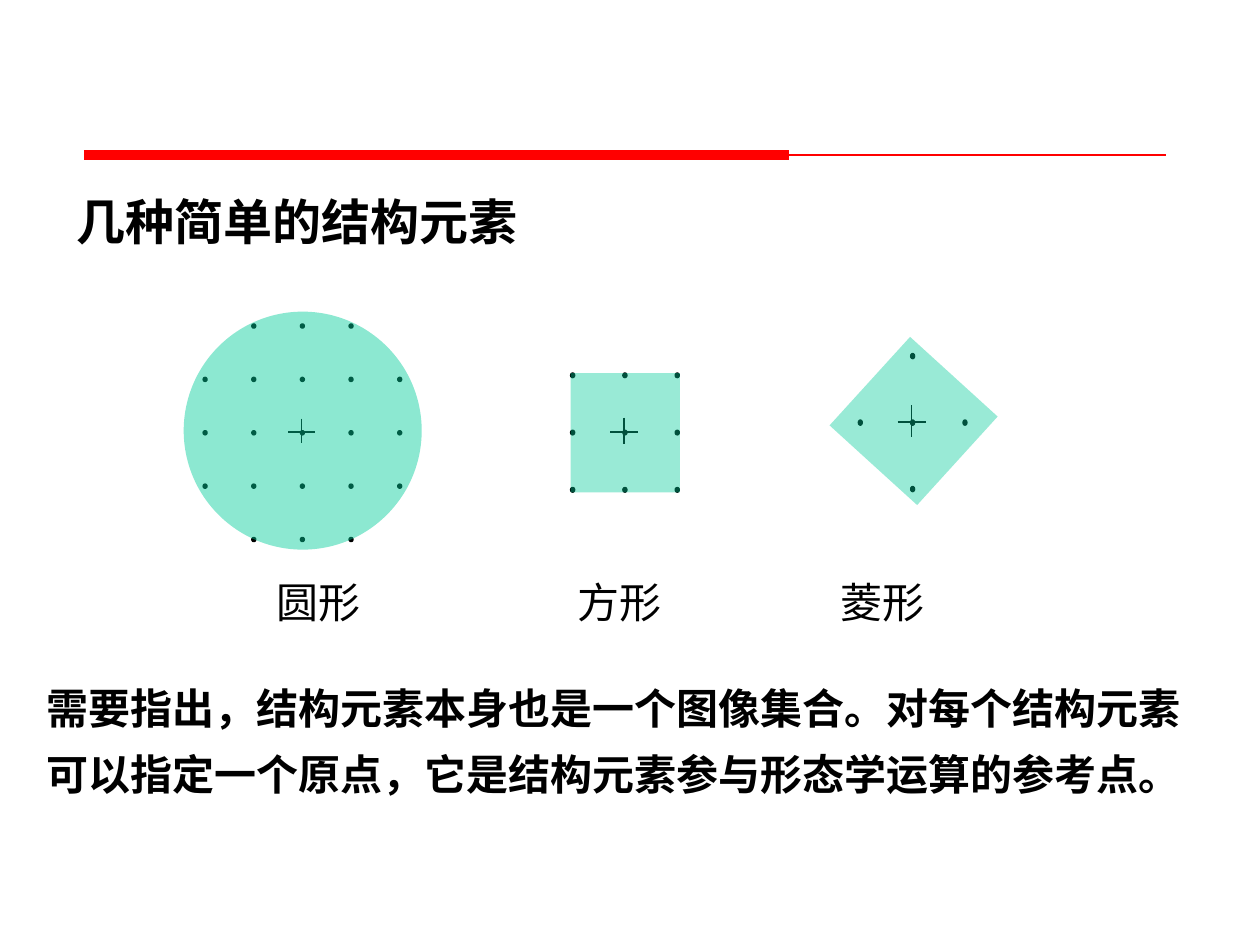
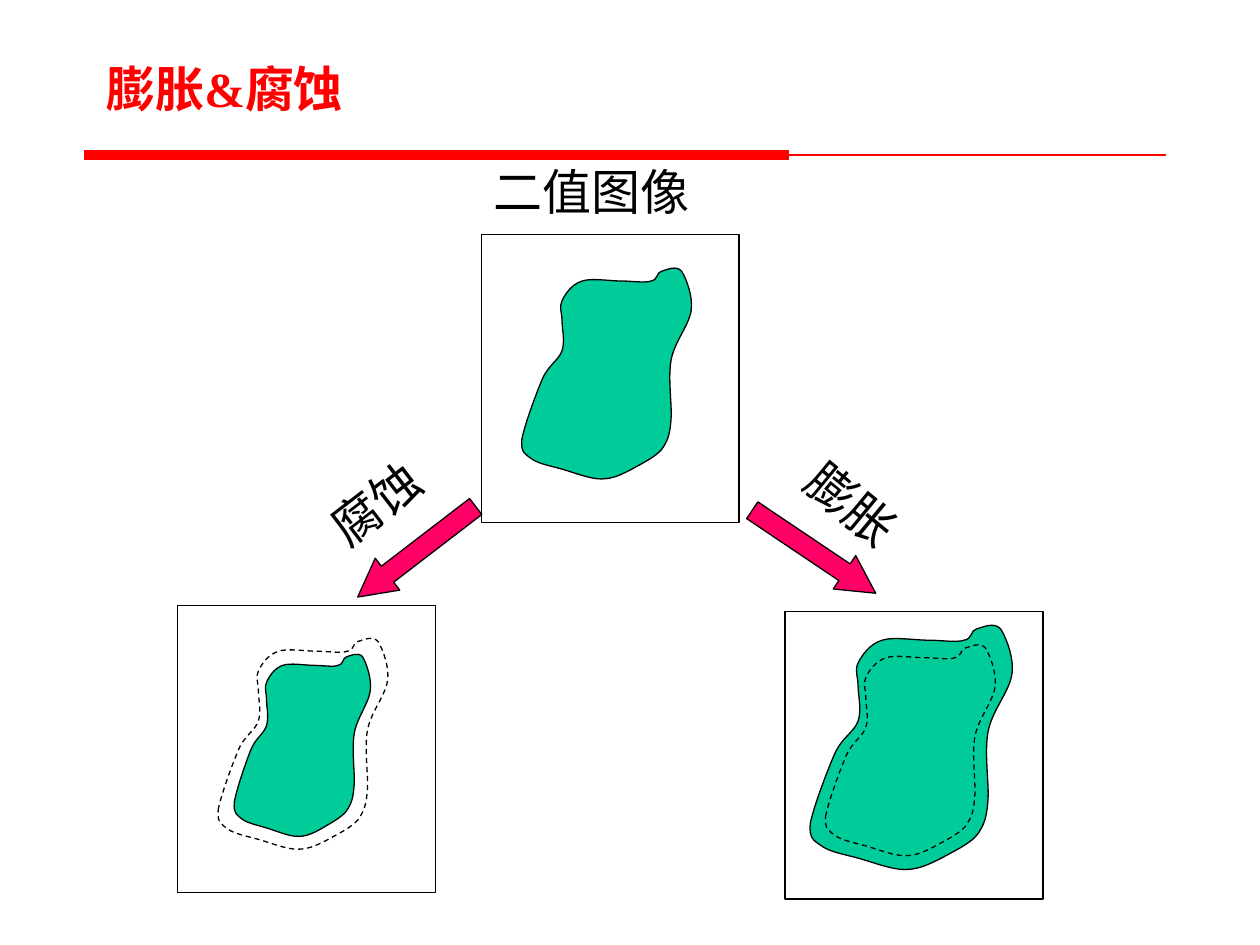
from lxml import etree
from pptx import Presentation
from pptx.dml.color import RGBColor
from pptx.enum.dml import MSO_LINE
from pptx.enum.shapes import MSO_CONNECTOR, MSO_SHAPE
from pptx.enum.text import MSO_ANCHOR, PP_ALIGN
from pptx.oxml.ns import qn
from pptx.util import Pt

STRAIGHT = MSO_CONNECTOR.STRAIGHT
DASH = MSO_LINE.DASH
DOT, ELLIPSE = MSO_SHAPE.FLOWCHART_CONNECTOR, MSO_SHAPE.OVAL
RECTANGLE, ARROW = MSO_SHAPE.RECTANGLE, MSO_SHAPE.RIGHT_ARROW
TOP, LEFT = MSO_ANCHOR.TOP, PP_ALIGN.LEFT

FONT = "Times New Roman"
BLACK, RED, GREEN, PINK = "000000", "FF0000", "00CC99", "FF0066"
TITLE_ONLY = 5
FRAME_SIZE = (147.4, 164.2)
REGION_BOX = (22.6, 17.1, 98.6, 122.4)
ERODED_BOX = (31.9, 26.4, 79.2, 105.8)
DILATED_BOX = (13.7, 5.6, 117.4, 141.8)

OUTLINE_SIZE = (163, 197)
OUTLINE_START = (1, 161)
OUTLINE_CURVES = [
    ((3, 149), (14, 120), (20, 106)), ((26, 92), (36, 88), (39, 79)),
    ((42, 70), (39, 59), (39, 52)), ((39, 44), (36, 39), (39, 33)),
    ((42, 27), (48, 18), (58, 15)), ((67, 12), (84, 15), (95, 15)),
    ((106, 15), (117, 17), (123, 15)), ((130, 14), (128, 7), (133, 6)),
    ((137, 5), (147, 0), (152, 6)), ((156, 12), (163, 29), (161, 42)),
    ((159, 56), (145, 71), (142, 88)), ((139, 105), (143, 129), (142, 142)),
    ((141, 156), (139, 162), (133, 170)), ((127, 177), (114, 183), (105, 188)),
    ((95, 193), (87, 197), (76, 197)), ((65, 197), (50, 191), (39, 188)),
    ((28, 185), (17, 183), (11, 179)), ((4, 174), (0, 173), (1, 161)),
]


def color(hex_text):
    """Turn a hex string into a colour."""
    return RGBColor.from_string(hex_text)


def style_shape(shape, fill=None, line=None, opacity=None):
    """Set fill, outline and opacity, and switch the shadow off."""
    shape.shadow.inherit = False
    if fill:
        shape.fill.solid()
        shape.fill.fore_color.rgb = color(fill)
    else:
        shape.fill.background()
    if opacity:
        tint = shape.fill._xPr.find(".//" + qn("a:srgbClr"))
        etree.SubElement(tint, qn("a:alpha")).set("val", str(opacity * 1000))
    if line:
        shape.line.color.rgb = color(line)
        shape.line.width = Pt(0.75)
    else:
        shape.line.fill.background()


def add_shape(holder, kind, box, **style):
    """Add a styled preset shape to a slide or group."""
    shape = holder.shapes.add_shape(kind, *map(Pt, box))
    style_shape(shape, **style)
    return shape


def add_line(holder, start, end, line, width=0.75):
    """Add a straight line without shadow."""
    connector = holder.shapes.add_connector(STRAIGHT, *map(Pt, start + end))
    connector.line.color.rgb = color(line)
    connector.line.width = Pt(width)
    etree.SubElement(connector._element.spPr, qn("a:effectLst"))
    return connector


def write_text(holder, text, size, bold=False, ink=BLACK, spacing=1.0, tabs=()):
    """Write one formatted paragraph into a text holder."""
    frame = holder.text_frame
    frame.word_wrap = True
    frame.vertical_anchor = TOP
    frame.text = text
    para = frame.paragraphs[0]
    para.alignment = LEFT
    para.line_spacing = spacing
    para.space_before = Pt(0)
    if tabs:
        stops = etree.SubElement(para._p.get_or_add_pPr(), qn("a:tabLst"))
        for position in tabs:
            etree.SubElement(stops, qn("a:tab"), pos=str(Pt(position)), algn="l")
    for span in para.runs:
        span.font.name = FONT
        span.font.size = Pt(size)
        span.font.bold = bold
        span.font.color.rgb = color(ink)


def add_text(slide, box, text, size, rotation=0, **style):
    """Add a text box, turned if asked."""
    holder = slide.shapes.add_textbox(*map(Pt, box))
    holder.rotation = rotation
    write_text(holder, text, size, **style)
    return holder


def add_page(deck, title, title_box, **style):
    """Add a slide with a placed title."""
    page = deck.slides.add_slide(deck.slide_layouts[TITLE_ONLY])
    holder = page.shapes.title
    holder.left, holder.top, holder.width, holder.height = map(Pt, title_box)
    write_text(holder, title, 28, bold=True, **style)
    return page


def add_master_rule(deck, page):
    """Draw the red double rule and move it to the slide master."""
    tree = deck.slide_master.shapes._spTree
    for number, (right, width) in enumerate(((666, 0.75), (451, 6)), 20):
        rule = add_line(page, (48, 88.6), (right, 88.6), RED, width)
        rule._element.nvCxnSpPr.cNvPr.set("id", str(number))
        tree.append(rule._element)


def add_element(slide, center, pitch, cells, dot, cross):
    """Group the grid points of a structuring element and its origin cross."""
    group = slide.shapes.add_group_shape()
    x, y = center
    for column, row in cells:
        left = x + column * pitch[0] - dot[0] / 2
        top = y + row * pitch[1] - dot[1] / 2
        add_shape(group, DOT, (left, top, *dot), fill=BLACK, line=BLACK)
    half_width, half_height = cross[0] / 2, cross[1] / 2
    add_line(group, (x - 0.5 - half_width, y - 0.4), (x - 0.5 + half_width, y - 0.4), BLACK)
    add_line(group, (x - 0.5, y - 1 - half_height), (x - 0.5, y - 1 + half_height), BLACK)


def set_points(segment, points):
    """Fill a path segment with points in outline units."""
    for x, y in points:
        etree.SubElement(segment, qn("a:pt"), x=str(x * 100), y=str(y * 100))


def add_region(slide, box, filled):
    """Draw the curved region outline in a box, filled or dashed."""
    builder = slide.shapes.build_freeform(*OUTLINE_START, scale=Pt(1))
    builder.add_line_segments([curve[-1] for curve in OUTLINE_CURVES], close=True)
    region = builder.convert_to_shape()
    region.left, region.top, region.width, region.height = map(Pt, box)
    outline = region._element.spPr.find(".//" + qn("a:path"))
    for name, size in zip("wh", OUTLINE_SIZE):
        outline.set(name, str(size * 100))
    start = outline.find(qn("a:moveTo"))
    start.remove(start[0])
    set_points(start, [OUTLINE_START])
    for segment, curve in zip(outline.findall(qn("a:lnTo")), OUTLINE_CURVES):
        bend = etree.Element(qn("a:cubicBezTo"))
        set_points(bend, curve)
        outline.replace(segment, bend)
    style_shape(region, fill=GREEN if filled else None, line=BLACK)
    if not filled:
        region.line.dash_style = DASH


def add_panel(slide, left, top, regions):
    """Draw a framed image holding regions placed relative to the frame."""
    for (x, y, width, height), filled in regions:
        add_region(slide, (left + x, top + y, width, height), filled)
    add_shape(slide, RECTANGLE, (left, top, *FRAME_SIZE), line=BLACK)


def add_operation(slide, arrow_box, arrow_turn, label, label_box, label_turn):
    """Draw a turned arrow and its turned label."""
    arrow = add_shape(slide, ARROW, arrow_box, fill=PINK, line=BLACK)
    arrow.adjustments[0] = 0.5
    arrow.adjustments[1] = 0.934
    arrow.rotation = arrow_turn
    add_text(slide, label_box, label, 28, rotation=label_turn)


def build_elements_page(deck):
    """Build the slide of simple structuring elements."""
    page = add_page(deck, "几种简单的结构元素", (36.7, 105.8, 380, 41))
    add_master_rule(deck, page)
    square = [(column, row) for row in (-1, 0, 1) for column in (-1, 0, 1)]
    disc = [(column, row) for row in range(-2, 3) for column in range(-2, 3)
            if abs(column) + abs(row) < 4]
    diamond = [(column, row) for column, row in square if abs(column) + abs(row) < 2]
    add_element(page, (172.8, 247.3), (27.8, 30.5), disc, (2.3, 2.4), (15, 14))
    add_element(page, (357.1, 247.2), (29.9, 32.7), square, (2.4, 2.7), (16, 15))
    add_element(page, (521.5, 241.5), (29.9, 38), diamond, (2.3, 3), (16, 18))
    add_text(page, (19.5, 378, 675, 82),
             "需要指出，结构元素本身也是一个图像集合。对每个结构元素"
             "可以指定一个原点，它是结构元素参与形态学运算的参考点。",
             24, bold=True, spacing=1.3)
    labels = add_text(page, (127.4, 325.8, 432, 36), "圆形\t方形\t菱形", 24, tabs=(172, 322))
    labels.text_frame.margin_left = Pt(30.9)
    add_shape(page, ELLIPSE, (105, 178.1, 136, 136), fill=GREEN, opacity=45)
    add_shape(page, RECTANGLE, (326, 213.2, 62.5, 68.2), fill=GREEN, opacity=40)
    tilted = add_shape(page, RECTANGLE, (488.2, 206.4, 67.7, 68.4), fill=GREEN, opacity=40)
    tilted.rotation = 42.3


def build_operations_page(deck):
    """Build the slide comparing erosion and dilation."""
    page = add_page(deck, "膨胀&腐蚀", (53.6, 26.4, 193, 44.6), ink=RED, spacing=1.1)
    add_panel(page, 275, 134.2, [(REGION_BOX, True)])
    add_panel(page, 101.5, 345.8, [(REGION_BOX, False), (ERODED_BOX, True)])
    add_panel(page, 448.6, 349.5, [(DILATED_BOX, True), (REGION_BOX, False)])
    add_text(page, (275, 88.6, 170, 41), "二值图像", 28)
    add_operation(page, (422.6, 303.8, 85, 23), 33.9, "膨胀", (450.7, 270, 79.2, 41), 39.5)
    add_operation(page, (195.6, 303.8, 85, 23), 142.5, "腐蚀", (178.6, 264.2, 79.2, 41), 322.5)


def main():
    """Build and save the deck."""
    deck = Presentation()
    deck.slide_width, deck.slide_height = Pt(720), Pt(540)
    build_elements_page(deck)
    build_operations_page(deck)
    deck.save("out.pptx")


if __name__ == "__main__":
    main()
